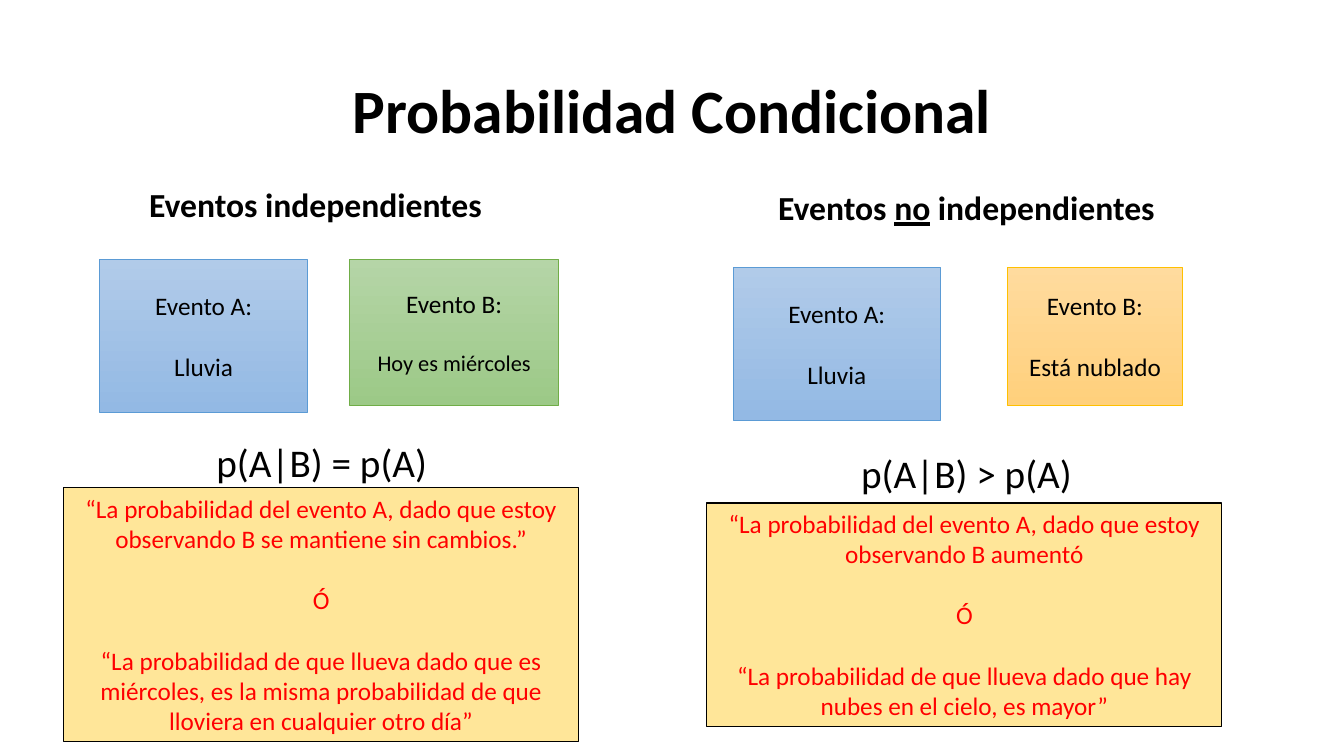
from pptx import Presentation
from pptx.dml.color import RGBColor
from pptx.enum.shapes import MSO_SHAPE
from pptx.enum.text import MSO_ANCHOR, PP_ALIGN
from pptx.util import Pt

PX = 9144  # EMU per px, 100 px to the inch
RECT = MSO_SHAPE.RECTANGLE
TOP, MIDDLE, BOTTOM = MSO_ANCHOR.TOP, MSO_ANCHOR.MIDDLE, MSO_ANCHOR.BOTTOM
CENTER = PP_ALIGN.CENTER

FONT = "Calibri"
BLACK, RED, CREAM = "000000", "FF0000", "FFE699"
# Gradient start, gradient end, border
BLUE = ("B1CBE9", "93B9E4", "5B9BD5")
GREEN = ("B5D5A7", "9CC987", "70AD47")
ORANGE = ("FFDB9E", "FFD07C", "FFC000")
LINE_GAP = 22  # one line of 18 pt text


def rgb(value):
    return RGBColor.from_string(value)


def emu(box):
    return [length * PX for length in box]


def style(paragraph, size, color=BLACK, bold=False):
    paragraph.alignment = CENTER
    font = paragraph.font
    font.name, font.size, font.bold = FONT, Pt(size), bold
    font.color.rgb = rgb(color)


def add_label(slide, box, parts, size, anchor=MIDDLE, bold=True):
    """One line of text; every second part is underlined."""
    frame = slide.shapes.add_textbox(*emu(box)).text_frame
    frame.word_wrap = True
    frame.vertical_anchor = anchor
    line = frame.paragraphs[0]
    for index, part in enumerate(parts):
        run = line.add_run()
        run.text = part
        if index % 2:
            run.font.underline = True
    line.line_spacing = 0.9
    style(line, size, bold=bold)


def add_panel(slide, box, border, border_width, lines, color, anchor):
    """Bordered rectangle with (text, size) lines set one line apart."""
    panel = slide.shapes.add_shape(RECT, *emu(box))
    panel.shadow.inherit = False
    panel.line.color.rgb = rgb(border)
    panel.line.width = Pt(border_width)
    frame = panel.text_frame
    frame.word_wrap = True
    frame.vertical_anchor = anchor
    for index, (text, size) in enumerate(lines):
        line = frame.add_paragraph() if index else frame.paragraphs[0]
        line.text = text
        if index:
            line.space_before = Pt(LINE_GAP)
        style(line, size, color)
    return panel


def add_event(slide, box, palette, name, detail, detail_size=18):
    start, end, border = palette
    lines = [(name, 18), (detail, detail_size)]
    event = add_panel(slide, box, border, 0.5, lines, BLACK, MIDDLE)
    event.fill.gradient()
    event.fill.gradient_angle = 270
    for stop, color in zip(event.fill.gradient_stops, (start, end)):
        stop.color.rgb = rgb(color)


def add_explanation(slide, box, formal, example):
    lines = [(text, 18) for text in (formal, "Ó", example)]
    explanation = add_panel(slide, box, BLACK, 0.75, lines, RED, TOP)
    explanation.fill.solid()
    explanation.fill.fore_color.rgb = rgb(CREAM)


def main():
    deck = Presentation()
    deck.slide_width, deck.slide_height = emu((1333, 750))
    slide = deck.slides.add_slide(deck.slide_layouts[6])

    add_label(slide, (92, 40, 1150, 145), ["Probabilidad Condicional"], 44)

    # Independent events
    add_label(slide, (31, 181, 564, 47), ["Eventos independientes"], 24, BOTTOM)
    add_event(slide, (99, 257, 206, 152), BLUE, "Evento A:", "Lluvia")
    add_event(slide, (347, 257, 207, 145), GREEN,
              "Evento B:", "Hoy es miércoles", 16)
    add_label(slide, (37, 436, 564, 50), ["p(A|B) = p(A)"], 28, bold=False)
    add_explanation(
        slide, (63, 484, 511, 252),
        "“La probabilidad del evento A, dado que estoy observando B "
        "se mantiene sin cambios.”",
        "“La probabilidad de que llueva dado que es miércoles, es la misma "
        "probabilidad de que lloviera en cualquier otro día”")

    # Dependent events
    add_label(slide, (675, 184, 567, 47),
              ["Eventos ", "no", " independientes"], 24, BOTTOM)
    add_event(slide, (727, 265, 206, 152), BLUE, "Evento A:", "Lluvia")
    add_event(slide, (999, 265, 174, 137), ORANGE, "Evento B:", "Está nublado")
    add_label(slide, (675, 447, 567, 50), ["p(A|B) > p(A)"], 28, bold=False)
    add_explanation(
        slide, (701, 499, 511, 222),
        "“La probabilidad del evento A, dado que estoy observando B aumentó",
        "“La probabilidad de que llueva dado que hay nubes en el cielo, "
        "es mayor”")

    deck.save("out.pptx")


if __name__ == "__main__":
    main()
